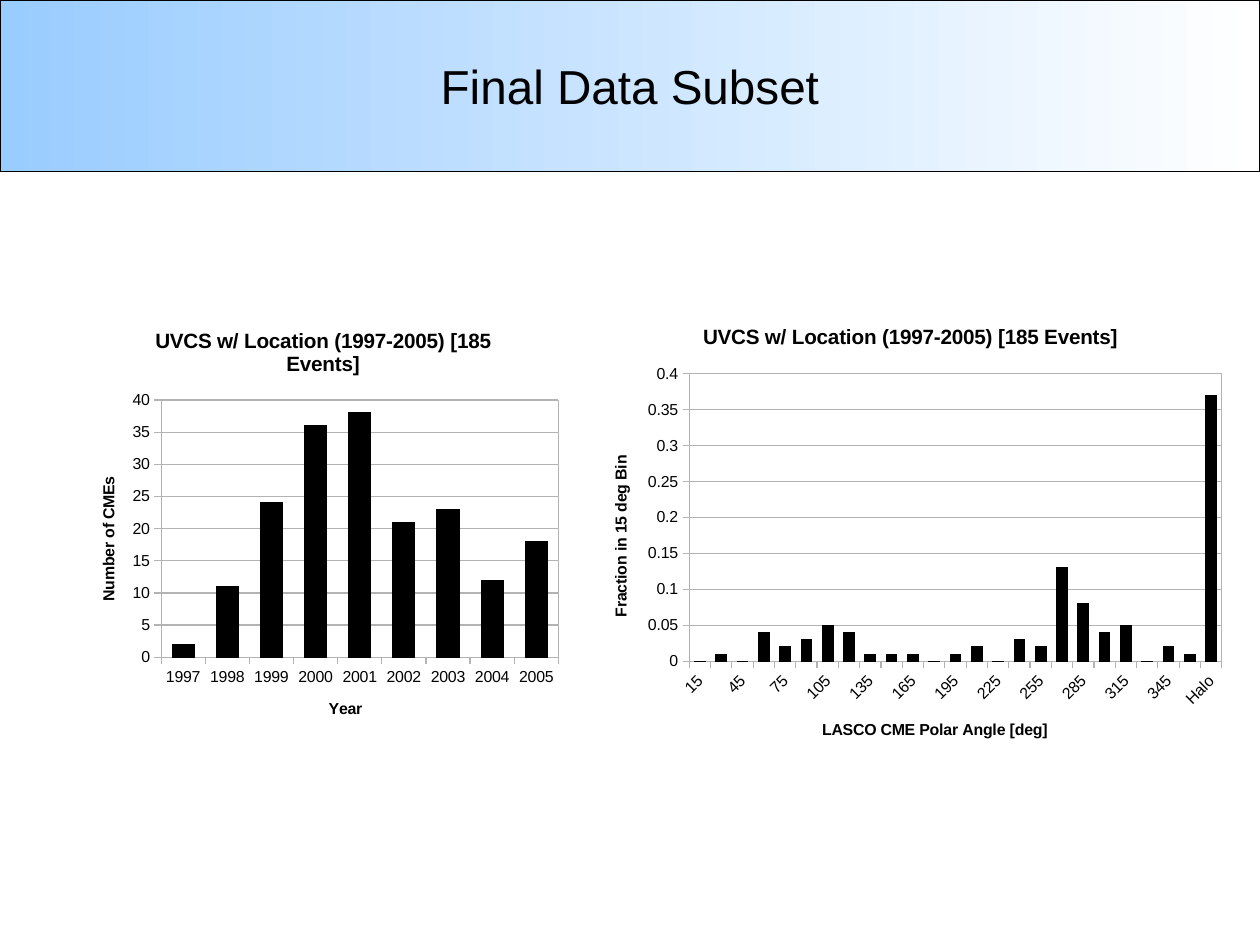
from lxml import etree
from pptx import Presentation
from pptx.chart.data import CategoryChartData
from pptx.dml.color import RGBColor
from pptx.enum.chart import XL_CHART_TYPE, XL_TICK_MARK
from pptx.enum.shapes import MSO_SHAPE
from pptx.enum.text import MSO_ANCHOR, PP_ALIGN
from pptx.oxml import parse_xml
from pptx.oxml.ns import nsdecls, qn
from pptx.util import Inches, Pt

COLUMN = XL_CHART_TYPE.COLUMN_CLUSTERED
TICK_OUT, TICK_NONE = XL_TICK_MARK.OUTSIDE, XL_TICK_MARK.NONE
RECT, MIDDLE, CENTER = MSO_SHAPE.RECTANGLE, MSO_ANCHOR.MIDDLE, PP_ALIGN.CENTER
FONT, BLACK, WHITE, SKY, GRAY = "Arial", "000000", "FFFFFF", "99CCFF", "B3B3B3"
WIDTH, HEIGHT = 11.02, 8.27
CHART_TITLE = "UVCS w/ Location (1997-2005) [185 Events]"

YEARS = [str(year) for year in range(1997, 2006)]
CME_COUNTS = [2, 11, 24, 36, 38, 21, 23, 12, 18]
ANGLES = [str(angle) for angle in range(15, 361, 15)] + ["Halo"]
FRACTIONS = [0, 0.01, 0, 0.04, 0.02, 0.03, 0.05, 0.04, 0.01, 0.01, 0.01, 0, 0.01,
             0.02, 0, 0.03, 0.02, 0.13, 0.08, 0.04, 0.05, 0, 0.02, 0.01, 0.37]


def color(value):
    """Return the colour of a hex string."""
    return RGBColor.from_string(value)


def style_font(font, size, bold=False):
    """Give a font the slide's typeface and colour."""
    font.name, font.size, font.bold = FONT, Pt(size), bold
    font.color.rgb = color(BLACK)


def style_line(line, value):
    """Make a line a hairline of one colour."""
    line.color.rgb = color(value)
    line.width = Pt(0)


def set_title(tf, text, size):
    """Write a bold chart or axis title."""
    tf.text = text
    style_font(tf.paragraphs[0].runs[0].font, size, True)


def rotate_text(element, degrees):
    """Turn the text of a chart element."""
    element.find(".//" + qn("a:bodyPr")).set("rot", str(degrees * 60000))


def add_banner(slide, text):
    """Add the gradient title band."""
    sp = slide.shapes.add_shape(RECT, 0, 0, Inches(WIDTH), Inches(1.5))
    sp.shadow.inherit = False
    sp.fill.gradient()
    sp.fill.gradient_angle = 0
    for stop, value, position in zip(sp.fill.gradient_stops, (SKY, WHITE), (0, 1)):
        stop.color.rgb = color(value)
        stop.position = position
    style_line(sp.line, BLACK)
    tf = sp.text_frame
    tf.text = text
    tf.word_wrap = True
    tf.vertical_anchor = MIDDLE
    p = tf.paragraphs[0]
    p.alignment = CENTER
    style_font(p.runs[0].font, 30)


def style_axis(axis, title):
    """Style the title, labels and line of an axis."""
    set_title(axis.axis_title.text_frame, title, 10)
    style_font(axis.tick_labels.font, 10)
    style_line(axis.format.line, GRAY)
    axis.major_tick_mark, axis.minor_tick_mark = TICK_OUT, TICK_NONE


def place_plot(chart, box):
    """Set the inner plot box as shares of the chart, with white ground and gray frame."""
    plot_area = chart.element.find(".//" + qn("c:plotArea"))
    for old in plot_area.findall(qn("c:layout")):
        plot_area.remove(old)
    layout = parse_xml(f"<c:layout {nsdecls('c')}><c:manualLayout/></c:layout>")
    settings = [("layoutTarget", "inner"), ("xMode", "edge"), ("yMode", "edge")]
    for name, value in settings + list(zip("xywh", box)):
        etree.SubElement(layout[0], qn("c:" + name)).set("val", str(value))
    plot_area.insert(0, layout)
    plot_area.append(parse_xml(
        f'<c:spPr {nsdecls("c", "a")}><a:noFill/><a:ln w="0"><a:solidFill>'
        f'<a:srgbClr val="{GRAY}"/></a:solidFill></a:ln></c:spPr>'))
    chart.element.find(qn("c:chart")).addnext(parse_xml(
        f'<c:spPr {nsdecls("c", "a")}><a:solidFill><a:srgbClr val="{WHITE}"/>'
        f'</a:solidFill><a:ln><a:noFill/></a:ln></c:spPr>'))


def add_histogram(slide, box, plot_box, categories, values, titles, top, step):
    """Add a black column chart and return it."""
    data = CategoryChartData()
    data.categories = categories
    data.add_series("Series 1", values)
    frame = slide.shapes.add_chart(COLUMN, *map(Inches, box), data)
    chart = frame.chart
    style_font(chart.font, 10)
    chart.has_legend = False
    set_title(chart.chart_title.text_frame, CHART_TITLE, 13)
    for axis, title in zip((chart.category_axis, chart.value_axis), titles):
        style_axis(axis, title)
    value_axis = chart.value_axis
    rotate_text(value_axis.axis_title._element, -90)
    style_line(value_axis.major_gridlines.format.line, GRAY)
    value_axis.minimum_scale, value_axis.maximum_scale = 0, top
    value_axis.major_unit = step
    value_axis.tick_labels.number_format = "General"
    value_axis.tick_labels.number_format_is_linked = False
    plot = chart.plots[0]
    plot.gap_width, plot.vary_by_categories = 100, False
    series = plot.series[0]
    series.format.fill.solid()
    series.format.fill.fore_color.rgb = color(BLACK)
    style_line(series.format.line, BLACK)
    place_plot(chart, plot_box)
    return chart


def slant_labels(axis, skip):
    """Slant the category labels and show only some of them."""
    rotate_text(axis._element.find(qn("c:txPr")), -45)
    label_skip = parse_xml(f'<c:tickLblSkip {nsdecls("c")} val="{skip}"/>')
    axis._element.find(qn("c:noMultiLvlLbl")).addprevious(label_skip)


def main():
    """Build and save the slide."""
    prs = Presentation()
    prs.slide_width, prs.slide_height = Inches(WIDTH), Inches(HEIGHT)
    slide = prs.slides.add_slide(prs.slide_layouts[6])
    add_banner(slide, "Final Data Subset")
    add_histogram(slide, (0.68, 2.71, 4.29, 3.75), (0.17, 0.21, 0.81, 0.6),
                  YEARS, CME_COUNTS, ("Year", "Number of CMEs"), 40, 5)
    angle_chart = add_histogram(
        slide, (5.12, 2.67, 5.68, 3.99), (0.16, 0.15, 0.82, 0.63), ANGLES, FRACTIONS,
        ("LASCO CME Polar Angle [deg]", "Fraction in 15 deg Bin"), 0.4, 0.05)
    slant_labels(angle_chart.category_axis, 2)
    prs.save("out.pptx")


if __name__ == "__main__":
    main()
